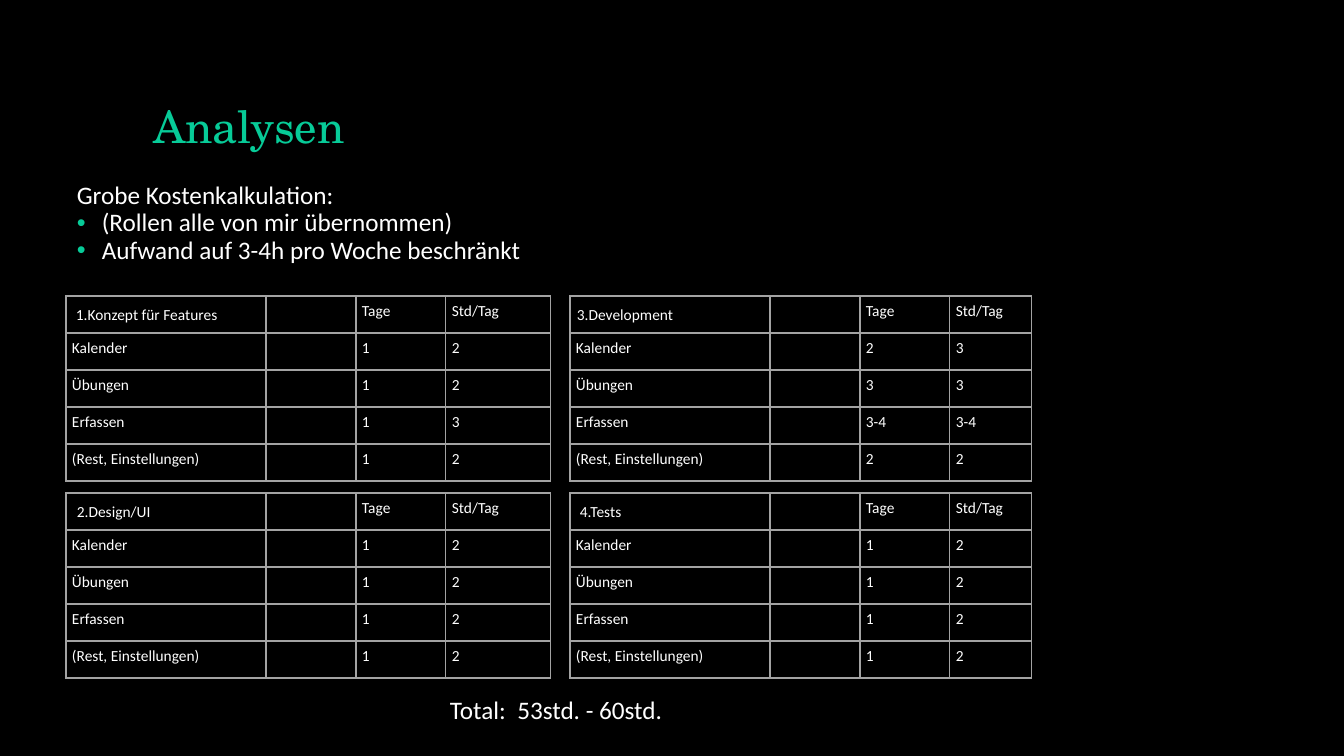
from lxml import etree
from pptx import Presentation
from pptx.dml.color import RGBColor
from pptx.enum import text
from pptx.oxml import ns
from pptx.util import Pt

PX = 914400 / 100.8
BLACK = RGBColor(0x00, 0x00, 0x00)
WHITE = RGBColor(0xFF, 0xFF, 0xFF)
GREEN = RGBColor(0x07, 0xCB, 0x98)
GREY = RGBColor(0xA3, 0xA3, 0xA3)

ROW_HEIGHT = 37
CELL_INSET = 6
TASKS = ["Kalender", "Übungen", "Erfassen", "(Rest, Einstellungen)"]
LEFT_COLUMNS = [200, 90, 90, 105]
RIGHT_COLUMNS = [200, 90, 90, 82]
# Heading, left, top, heading shift, column widths, (days, hours per day) by task
PHASES = [
    ("1.Konzept für Features", 66, 296, 0, LEFT_COLUMNS,
     [("1", "2"), ("1", "2"), ("1", "3"), ("1", "2")]),
    ("2.Design/UI", 66, 493, 1, LEFT_COLUMNS, [("1", "2")] * 4),
    ("3.Development", 570, 296, -3, RIGHT_COLUMNS,
     [("2", "3"), ("3", "3"), ("3-4", "3-4"), ("2", "2")]),
    ("4.Tests", 570, 493, 0, RIGHT_COLUMNS, [("1", "2")] * 4),
]


def px(*lengths):
    return [round(length * PX) for length in lengths]


def set_font(para, size, color=WHITE, name="Calibri"):
    para.font.size = Pt(size)
    para.font.name = name
    para.font.color.rgb = color


def add_text(page, box, lines, size):
    frame = page.shapes.add_textbox(*px(*box)).text_frame
    frame.word_wrap = True
    frame.text = "\n".join(lines)
    for para in frame.paragraphs:
        set_font(para, size)
    return frame


def add_bullet(para):
    props = para._p.get_or_add_pPr()
    indent, = px(25)
    props.set("marL", str(indent))
    props.set("indent", str(-indent))
    color = etree.SubElement(props, ns.qn("a:buClr"))
    etree.SubElement(color, ns.qn("a:srgbClr"), val=str(GREEN))
    etree.SubElement(props, ns.qn("a:buFont"), typeface="Arial")
    etree.SubElement(props, ns.qn("a:buChar"), char="•")


def add_borders(cell):
    props = cell._tc.get_or_add_tcPr()
    for side in ("lnL", "lnR", "lnT", "lnB"):
        line = etree.SubElement(props, ns.qn(f"a:{side}"), w=str(Pt(1)))
        fill = etree.SubElement(line, ns.qn("a:solidFill"))
        etree.SubElement(fill, ns.qn("a:srgbClr"), val=str(GREY))


def format_title(title, box):
    title.left, title.top, title.width, title.height = px(*box)
    frame = title.text_frame
    frame.text = "Analysen"
    frame.vertical_anchor = text.MSO_ANCHOR.BOTTOM
    para = frame.paragraphs[0]
    para.alignment = text.PP_ALIGN.LEFT
    para.line_spacing = 0.9
    set_font(para, 32, GREEN, "TeX Gyre Schola")


def add_intro(page, box):
    frame = add_text(page, box, [
        "Grobe Kostenkalkulation:",
        "(Rollen alle von mir übernommen)",
        "Aufwand auf 3-4h pro Woche beschränkt",
    ], 18)
    for para in frame.paragraphs:
        para.line_spacing = 0.9
    for para in frame.paragraphs[1:]:
        add_bullet(para)


def add_phase(page, heading, left, top, shift, columns, efforts):
    """Place the effort table of one project phase with its heading on the first cell."""
    rows = [("", "", "Tage", "Std/Tag")]
    rows += [(task, "", *effort) for task, effort in zip(TASKS, efforts)]
    box = px(left, top, sum(columns), ROW_HEIGHT * len(rows))
    table = page.shapes.add_table(len(rows), len(columns), *box).table
    for column, width in zip(table.columns, px(*columns)):
        column.width = width
    for row, values in zip(table.rows, rows):
        row.height, = px(ROW_HEIGHT)
        for cell, value in zip(row.cells, values):
            cell.text = value
            cell.margin_left, cell.margin_top = px(CELL_INSET, CELL_INSET)
            cell.margin_right, cell.margin_bottom = px(CELL_INSET, CELL_INSET)
            para = cell.text_frame.paragraphs[0]
            set_font(para, 11)
            para.font.bold = False
            add_borders(cell)
            cell.fill.background()

    frame = add_text(page, (left + shift, top, columns[0], ROW_HEIGHT), [heading], 11)
    frame.vertical_anchor = text.MSO_ANCHOR.MIDDLE
    frame.margin_top = frame.margin_bottom = 0


def add_analysis_page(deck):
    page = deck.slides.add_slide(deck.slide_layouts[5])
    page.background.fill.solid()
    page.background.fill.fore_color.rgb = BLACK
    format_title(page.shapes.title, (143, 40, 1058, 118))
    add_intro(page, (67, 178, 526, 93))
    for phase in PHASES:
        add_phase(page, *phase)
    add_text(page, (440, 689, 672, 40), ["Total:  53std. - 60std."], 18)


def main():
    deck = Presentation()
    deck.slide_width, deck.slide_height = px(1344, 756)
    add_analysis_page(deck)
    deck.save("out.pptx")


if __name__ == "__main__":
    main()
